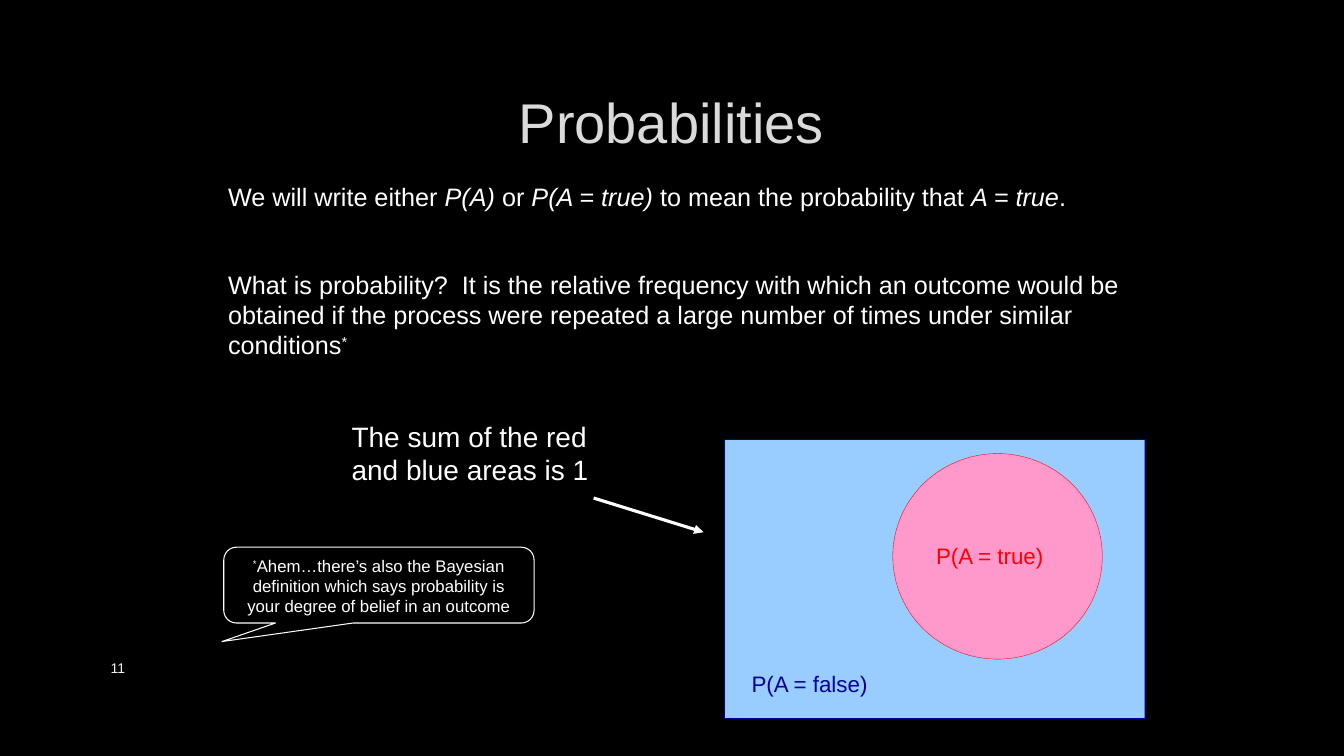
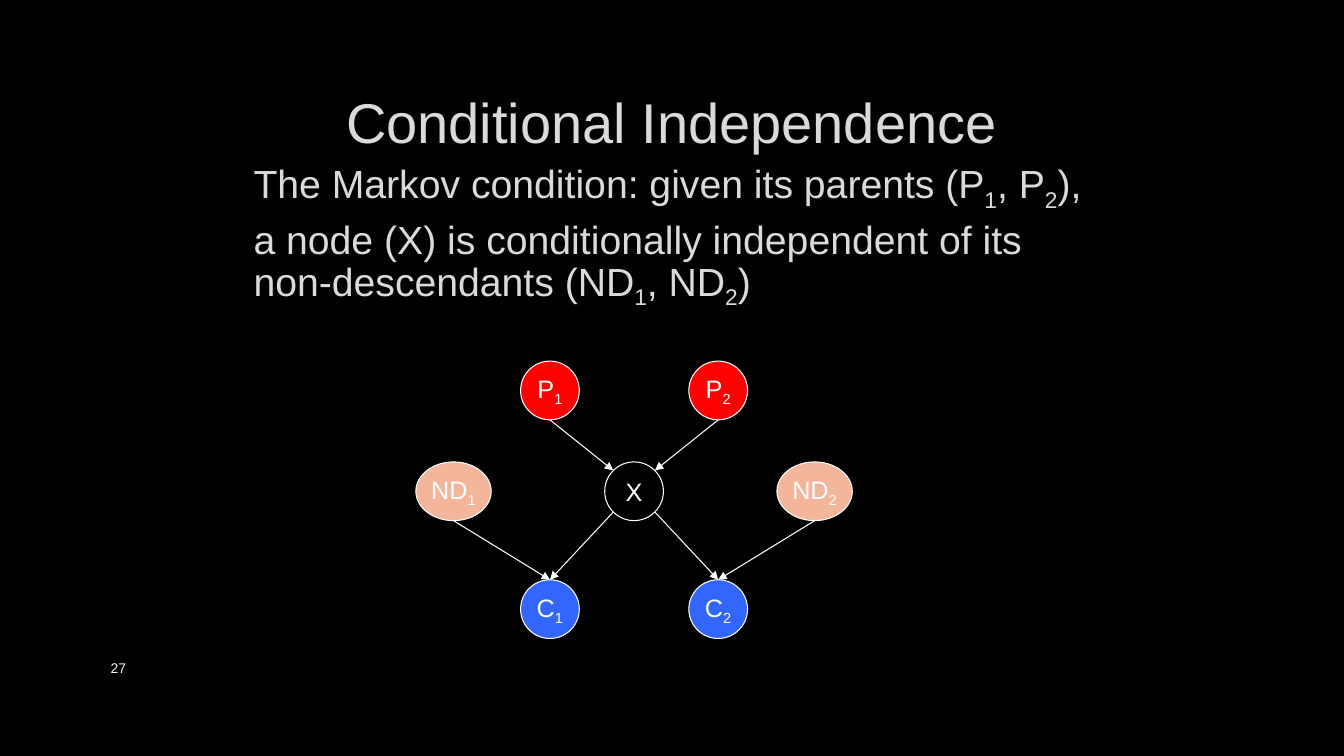
"""Build two slides on probabilities and conditional independence."""
from lxml import etree
from pptx import Presentation
from pptx.dml.color import RGBColor
from pptx.enum.shapes import MSO_CONNECTOR, MSO_SHAPE
from pptx.enum.text import MSO_ANCHOR, PP_ALIGN
from pptx.oxml.ns import qn
from pptx.util import Cm, Pt

LEFT, CENTER = PP_ALIGN.LEFT, PP_ALIGN.CENTER
TOP, MIDDLE = MSO_ANCHOR.TOP, MSO_ANCHOR.MIDDLE
RECT, OVAL = MSO_SHAPE.RECTANGLE, MSO_SHAPE.OVAL
CALLOUT = MSO_SHAPE.ROUNDED_RECTANGULAR_CALLOUT
STRAIGHT = MSO_CONNECTOR.STRAIGHT

BLACK = RGBColor(0x00, 0x00, 0x00)
WHITE = RGBColor(0xFF, 0xFF, 0xFF)
OFF_WHITE = RGBColor(0xF2, 0xF2, 0xF2)
LIGHT_GREY = RGBColor(0xDA, 0xDA, 0xDA)
RED = RGBColor(0xFF, 0x00, 0x00)
PINK = RGBColor(0xFF, 0x99, 0xCC)
NAVY = RGBColor(0x00, 0x00, 0x99)
SKY = RGBColor(0x99, 0xCC, 0xFF)
BLUE = RGBColor(0x33, 0x66, 0xFF)
PEACH = RGBColor(0xF4, 0xB6, 0x9B)

FONT = "Arial"
ITALIC, SUPER, SUB = "italic", "30000", "-25000"


def add_text(sp, *paragraphs, size=18, color=WHITE, align=LEFT, anchor=TOP,
             wrap=True, before=0, after=0, spacing=None):
    """Fill a shape with paragraphs, each a list of (text, style) runs."""
    tf = sp.text_frame
    tf.word_wrap = wrap
    tf.vertical_anchor = anchor
    for i, runs in enumerate(paragraphs):
        p = tf.add_paragraph() if i else tf.paragraphs[0]
        p.alignment = align
        p.space_before = Pt(before if i else 0)
        p.space_after = Pt(after)
        p.line_spacing = spacing
        for text, style in runs:
            r = p.add_run()
            r.text = text
            r.font.name = FONT
            r.font.size = Pt(size)
            r.font.color.rgb = color
            if style == ITALIC:
                r.font.italic = True
            elif style:
                r.font._element.set("baseline", style)


def add_arrow(s, x1, y1, x2, y2, width):
    """Draw a white arrow between two points given in centimetres."""
    line = s.shapes.add_connector(STRAIGHT, Cm(x1), Cm(y1), Cm(x2), Cm(y2))
    line.line.color.rgb = WHITE
    line.line.width = Pt(width)
    etree.SubElement(line.line._get_or_add_ln(), qn("a:tailEnd"), type="triangle")
    etree.SubElement(line._element.spPr, qn("a:effectLst"))


prs = Presentation()
prs.slide_width, prs.slide_height = Cm(33.87), Cm(19.05)
fill = prs.slide_master.background.fill
fill.solid()
fill.fore_color.rgb = BLACK

slides = []
for title, number in [("Probabilities", "11"), ("Conditional Independence", "27")]:
    s = prs.slides.add_slide(prs.slide_layouts[6])
    sp = s.shapes.add_textbox(Cm(2.54), Cm(16.33), Cm(18.54), Cm(1.02))
    add_text(sp, [(number, None)], size=10, color=OFF_WHITE, anchor=MIDDLE)
    sp = s.shapes.add_textbox(Cm(2.54), Cm(1.7), Cm(28.75), Cm(2.69))
    add_text(sp, [(title, None)], size=40, color=LIGHT_GREY, align=CENTER, anchor=MIDDLE)
    slides.append(s)

s = slides[0]
sp = s.shapes.add_textbox(Cm(5.5), Cm(4.45), Cm(23.06), Cm(4.88))
add_text(
    sp,
    [("We will write either ", None), ("P(A)", ITALIC), (" or ", None),
     ("P(A = true)", ITALIC), (" to mean the probability that ", None),
     ("A = true", ITALIC), (".", None)],
    [("What is probability?  It is the relative frequency with which an outcome "
      "would be obtained if the process were repeated a large number of times "
      "under similar conditions", None), ("*", SUPER)],
    before=41)

areas = [
    (RECT, 18.26, 11.07, 10.59, 7.04, SKY, NAVY),
    (OVAL, 22.5, 11.43, 5.28, 5.18, PINK, RED),
]
for shape, x, y, w, h, color, edge in areas:
    sp = s.shapes.add_shape(shape, Cm(x), Cm(y), Cm(w), Cm(h))
    sp.shadow.inherit = False
    sp.fill.solid()
    sp.fill.fore_color.rgb = color
    sp.line.color.rgb = edge
    sp.line.width = Pt(0.25)

labels = [
    ("The sum of the red and blue areas is 1", 8.61, 10.44, 7.21, 1.96, 20, WHITE),
    ("P(A = false)", 18.69, 16.76, 3.6, 0.94, 16, NAVY),
    ("P(A = true)", 23.34, 13.54, 3.61, 0.94, 16, RED),
]
for text, x, y, w, h, size, color in labels:
    sp = s.shapes.add_textbox(Cm(x), Cm(y), Cm(w), Cm(h))
    add_text(sp, [(text, None)], size=size, color=color)
add_arrow(s, 14.96, 12.55, 17.73, 13.41, 2.25)

sp = s.shapes.add_shape(CALLOUT, Cm(5.64), Cm(13.79), Cm(7.82), Cm(1.91))
sp.shadow.inherit = False
sp.fill.background()
sp.line.color.rgb = WHITE
sp.line.width = Pt(0.75)
for i, value in enumerate([-0.506, 0.745, 0.167]):
    sp.adjustments[i] = value
add_text(
    sp,
    [("*", SUPER), ("Ahem…there’s also the Bayesian definition which says "
                    "probability is your degree of belief in an outcome", None)],
    size=12, align=CENTER)

s = slides[1]
sp = s.shapes.add_textbox(Cm(6.14), Cm(4.02), Cm(21.8), Cm(3.81))
add_text(
    sp,
    [("The Markov condition: given its parents (P", None), ("1", SUB),
     (", P", None), ("2", SUB), ("),", None)],
    [("a node (X) is conditionally independent of its non-descendants (ND", None),
     ("1", SUB), (", ND", None), ("2", SUB), (")", None)],
    size=28, color=LIGHT_GREY, before=6, after=6, spacing=0.8)

NODE, WIDE_NODE = 1.48, 1.9
MID_X, PARENT_Y, MID_Y, CHILD_Y = 15.98, 9.1, 11.64, 14.61
PAIR_DX, OUTER_DX = 2.12, 4.55
DIAGONAL = NODE / 2 * 0.71
nodes = [("X", "", MID_X, MID_Y, NODE, None)]
for side, index in [(-1, "1"), (1, "2")]:
    pair_x, outer_x = MID_X + side * PAIR_DX, MID_X + side * OUTER_DX
    nodes += [
        ("P", index, pair_x, PARENT_Y, NODE, RED),
        ("C", index, pair_x, CHILD_Y, NODE, BLUE),
        ("ND", index, outer_x, MID_Y, WIDE_NODE, PEACH),
    ]
    corner_x, center_y = MID_X + side * DIAGONAL, MID_Y + NODE / 2
    add_arrow(s, pair_x, PARENT_Y + NODE, corner_x, center_y - DIAGONAL, 0.75)
    add_arrow(s, corner_x, center_y + DIAGONAL, pair_x, CHILD_Y, 0.75)
    add_arrow(s, outer_x, MID_Y + NODE, pair_x, CHILD_Y, 0.75)

for name, index, x, y, w, color in nodes:
    sp = s.shapes.add_shape(OVAL, Cm(x - w / 2), Cm(y), Cm(w), Cm(NODE))
    sp.shadow.inherit = False
    if color:
        sp.fill.solid()
        sp.fill.fore_color.rgb = color
    else:
        sp.fill.background()
    sp.line.color.rgb = WHITE
    sp.line.width = Pt(0.75)
    runs = [(name, None), (index, SUB)] if index else [(name, None)]
    add_text(sp, runs, align=CENTER, anchor=MIDDLE, wrap=False)

prs.save("out.pptx")
